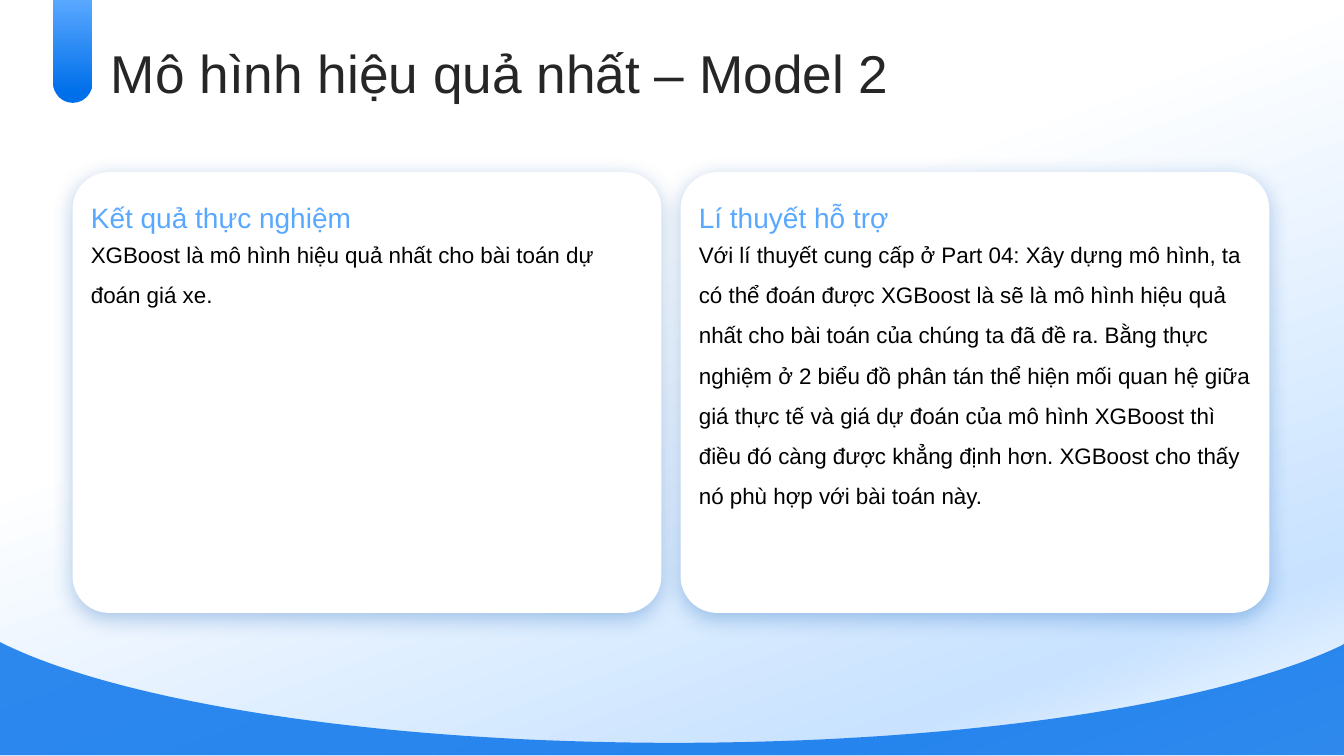
"""Build the slide on the best performing model."""
from dataclasses import dataclass

from lxml.etree import SubElement
from pptx import Presentation
from pptx.dml.color import RGBColor
from pptx.enum.shapes import MSO_SHAPE
from pptx.enum.text import MSO_ANCHOR, MSO_AUTO_SIZE, PP_ALIGN
from pptx.oxml.ns import qn
from pptx.shapes.autoshape import Shape
from pptx.slide import Slide
from pptx.text.text import TextFrame
from pptx.util import Pt

HUES = {
    "white": "FFFFFF", "pale": "C8E2FF", "sky": "59A8FF", "blue": "006FEA",
    "shade": "0053B0", "ink": "262626", "black": "000000",
}
WIDE, HIGH = 960, 540
Point = tuple[float, float]


@dataclass
class Card:
    """A white panel with a heading and a body."""
    left: float
    head: str
    body: str


CARDS = [
    Card(51.9, "Kết quả thực nghiệm",
         "XGBoost là mô hình hiệu quả nhất cho bài toán dự đoán giá xe."),
    Card(486.2, "Lí thuyết hỗ trợ",
         "Với lí thuyết cung cấp ở Part 04: Xây dựng mô hình, ta có thể đoán "
         "được XGBoost là sẽ là mô hình hiệu quả nhất cho bài toán của chúng "
         "ta đã đề ra. Bằng thực nghiệm ở 2 biểu đồ phân tán thể hiện mối "
         "quan hệ giữa giá thực tế và giá dự đoán của mô hình XGBoost thì "
         "điều đó càng được khẳng định hơn. XGBoost cho thấy nó phù hợp với "
         "bài toán này."),
]


def color(name: str) -> RGBColor:
    """Look up a colour."""
    return RGBColor.from_string(HUES[name])


def add_form(slide: Slide, kind: MSO_SHAPE, left: float, top: float,
             width: float, height: float) -> Shape:
    """Add a preset shape with no line and no shadow."""
    form = slide.shapes.add_shape(kind, Pt(left), Pt(top), Pt(width), Pt(height))
    form.line.fill.background()
    form.shadow.inherit = False
    return form


def blend(form: Shape, stops: list[tuple[int, str]], angle: int) -> None:
    """Fill a shape with a gradient whose angle runs clockwise."""
    form.fill.gradient()
    form.fill.gradient_angle = 360 - angle
    ramp = form.element.spPr.find(qn("a:gradFill")).find(qn("a:gsLst"))
    for old in list(ramp):
        ramp.remove(old)
    for place, name in stops:
        stop = SubElement(ramp, qn("a:gs"), pos=str(place * 1000))
        SubElement(stop, qn("a:srgbClr"), val=HUES[name])


def write(frame: TextFrame, text: str, size: float, name: str,
          space: float) -> None:
    """Set one paragraph of left-aligned text in a frame without margins."""
    frame.word_wrap = True
    frame.auto_size = MSO_AUTO_SIZE.NONE
    frame.margin_left = frame.margin_right = Pt(0)
    frame.margin_top = frame.margin_bottom = Pt(0)
    para = frame.paragraphs[0]
    para.text = text
    para.alignment = PP_ALIGN.LEFT
    para.line_spacing = space
    para.font.name = "Arial"
    para.font.size = Pt(size)
    para.font.color.rgb = color(name)


def add_text(slide: Slide, left: float, top: float, height: float, text: str,
             size: float, name: str, space: float) -> None:
    """Add a text box as wide as a card's content."""
    box = slide.shapes.add_textbox(Pt(left), Pt(top), Pt(395.5), Pt(height))
    write(box.text_frame, text, size, name, space)


def add_card(slide: Slide, card: Card) -> None:
    """Draw a card with its soft shadow and its texts."""
    panel = add_form(slide, MSO_SHAPE.ROUNDED_RECTANGLE, card.left, 123, 420.5, 314.8)
    panel.adjustments[0] = 0.083
    panel.fill.solid()
    panel.fill.fore_color.rgb = color("white")
    glow = SubElement(panel.element.spPr.find(qn("a:effectLst")), qn("a:outerShdw"),
                      blurRad=str(Pt(15)), dist=str(Pt(4)), dir="5400000",
                      algn="t", rotWithShape="0")
    tint = SubElement(glow, qn("a:srgbClr"), val=HUES["shade"])
    SubElement(tint, qn("a:alpha"), val="30000")
    left = card.left + 13
    add_text(slide, left, 136.2, 26, card.head, 20, "sky", 1.3)
    add_text(slide, left, 162.5, 262.8, card.body, 16, "black", 1.5)


def curve(ends: list[Point], steps: int = 40) -> list[Point]:
    """Trace a cubic curve given by four points."""
    dots = []
    for step in range(steps + 1):
        t = step / steps
        parts = ((1 - t) ** 3, 3 * t * (1 - t) ** 2, 3 * t * t * (1 - t), t ** 3)
        dots.append((sum(p * x for p, (x, _) in zip(parts, ends)),
                     sum(p * y for p, (_, y) in zip(parts, ends))))
    return dots


def add_wave(slide: Slide) -> None:
    """Draw the translucent blue wave along the bottom."""
    half = curve([(5.8, 461.5), (92.9, 502.6), (272.9, 530.6), (481.6, 530.6)])
    rest = [(963.2 - x, y) for x, y in reversed(half[:-1])]
    dots = [*half, *rest, (962.7, 458.4), (962.7, 539.3), (-1.4, 539.3)]
    pen = slide.shapes.build_freeform(Pt(-1.4), Pt(457.9))
    pen.add_line_segments([(Pt(x), Pt(y)) for x, y in dots])
    wave = pen.convert_to_shape()
    wave.shadow.inherit = False
    wave.line.fill.background()
    wave.fill.solid()
    wave.fill.fore_color.rgb = color("blue")
    tint = wave.element.spPr.find(qn("a:solidFill"))[0]
    SubElement(tint, qn("a:alpha"), val="81000")


def add_title(slide: Slide) -> None:
    """Place the title in front of the cards."""
    title = slide.shapes.title
    title.left, title.top = Pt(79.2), Pt(32.4)
    title.width, title.height = Pt(828), Pt(33.8)
    write(title.text_frame, "Mô hình hiệu quả nhất – Model 2", 38, "ink", 1.1)
    title.text_frame.vertical_anchor = MSO_ANCHOR.MIDDLE
    title.element.getparent().append(title.element)


def add_tab(slide: Slide) -> None:
    """Hang the round-ended tab from the top edge."""
    tab = add_form(slide, MSO_SHAPE.ROUND_2_SAME_RECTANGLE, 38, 0, 28, 73.5)
    tab.adjustments[0] = 0.5
    tab.element.spPr.find(qn("a:xfrm")).set("flipV", "1")
    blend(tab, [(10, "blue"), (100, "sky")], 90)


def main() -> None:
    """Build and save the deck."""
    deck = Presentation()
    deck.slide_width, deck.slide_height = Pt(WIDE), Pt(HIGH)
    slide = deck.slides.add_slide(deck.slide_layouts[5])
    back = add_form(slide, MSO_SHAPE.RECTANGLE, 0, 0, WIDE, HIGH)
    blend(back, [(1, "white"), (39, "white"), (85, "pale"), (100, "white")], 70)
    add_wave(slide)
    for card in CARDS:
        add_card(slide, card)
    add_title(slide)
    add_tab(slide)
    deck.save("out.pptx")


if __name__ == "__main__":
    main()
